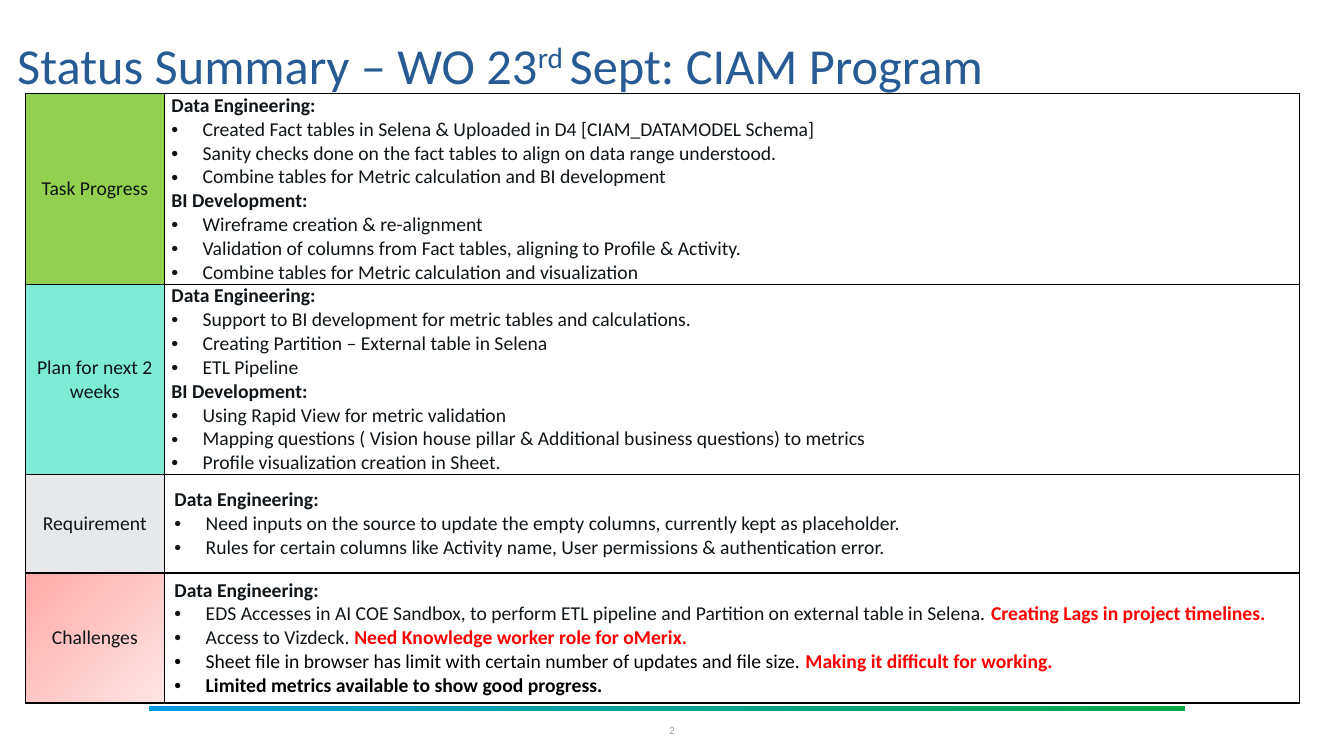
from lxml.etree import SubElement
from pptx import Presentation
from pptx.dml.color import RGBColor
from pptx.enum.shapes import MSO_SHAPE
from pptx.enum.text import MSO_ANCHOR, PP_ALIGN
from pptx.oxml.ns import qn
from pptx.util import Inches, Pt

INK, RED, BLACK = "0F1518", "FF0000", "000000"
ENGINEERING, BI = "Data Engineering:", "BI Development:"

STATUS = [
    ("Task Progress", ["92D050"], 25.2, True, [
        (ENGINEERING, [
            "Created Fact tables in Selena & Uploaded in D4 [CIAM_DATAMODEL Schema]",
            "Sanity checks done on the fact tables to align on data range understood.",
            "Combine tables for Metric calculation and BI development",
        ]),
        (BI, [
            "Wireframe creation & re-alignment",
            "Validation of columns from Fact tables, aligning to Profile & Activity.",
            "Combine tables for Metric calculation and visualization",
        ]),
    ]),
    ("Plan for next 2 weeks", ["7EECD4"], 25.2, True, [
        (ENGINEERING, [
            "Support to BI development for metric tables and calculations.",
            "Creating Partition – External table in Selena",
            "ETL Pipeline",
        ]),
        (BI, [
            "Using Rapid View for metric validation",
            "Mapping questions ( Vision house pillar & Additional business questions) to metrics",
            "Profile visualization creation in Sheet.",
        ]),
    ]),
    ("Requirement", ["E6E8EA"], 13, False, [
        (ENGINEERING, [
            "Need inputs on the source to update the empty columns, currently kept as placeholder.",
            "Rules for certain columns like Activity name, User permissions & authentication error.",
        ]),
    ]),
    ("Challenges", ["FFA9A9", "FFE5E5"], 17.2, False, [
        (ENGINEERING, [
            [("EDS Accesses in AI COE Sandbox, to perform ETL pipeline and Partition "
              "on external table in Selena. ", INK, False),
             ("Creating Lags in project timelines.", RED, True)],
            [("Access to Vizdeck. ", INK, False),
             ("Need Knowledge worker role for oMerix.", RED, True)],
            [("Sheet file in browser has limit with certain number of updates and file size. ",
              BLACK, False),
             ("Making it difficult for working.", RED, True)],
            [("Limited metrics available to show good progress.", BLACK, True)],
        ]),
    ]),
]


def rgb(code):
    return RGBColor.from_string(code)


def write(paragraph, text, size=14, color=INK, bold=False, raised=0):
    run = paragraph.add_run()
    run.text = text
    font = run.font
    font.name, font.size, font.bold = "Calibri", Pt(size), bold
    font.color.rgb = rgb(color)
    if raised:
        run._r.get_or_add_rPr().set("baseline", str(raised * 1000))


def paint(fill, colors, angle=0):
    if len(colors) == 1:
        fill.solid()
        fill.fore_color.rgb = rgb(colors[0])
        return
    fill.gradient()
    fill.gradient_angle = angle
    for stop, color in zip(fill.gradient_stops, colors):
        stop.color.rgb = rgb(color)


class StatusSlide:
    """Draw elements on one slide, with lengths in percent of its size."""

    def __init__(self, deck):
        self.deck = deck
        self.slide = deck.slides.add_slide(deck.slide_layouts[6])

    def across(self, share):
        return round(self.deck.slide_width * share / 100)

    def down(self, share):
        return round(self.deck.slide_height * share / 100)

    def box(self, left, top, width, height):
        return self.across(left), self.down(top), self.across(width), self.down(height)

    def text(self, area, pieces, align=PP_ALIGN.LEFT, spacing=1.0, top_inset=0):
        frame = self.slide.shapes.add_textbox(*self.box(*area)).text_frame
        frame.word_wrap = True
        frame.vertical_anchor = MSO_ANCHOR.MIDDLE
        frame.margin_left = frame.margin_right = frame.margin_bottom = 0
        frame.margin_top = Inches(top_inset)
        line = frame.paragraphs[0]
        line.alignment, line.line_spacing = align, spacing
        for text, style in pieces:
            write(line, text, **style)

    def bar(self, area, colors):
        bar = self.slide.shapes.add_shape(MSO_SHAPE.RECTANGLE, *self.box(*area))
        bar.shadow.inherit = False
        bar.line.fill.background()
        paint(bar.fill, colors)

    def border(self, cell):
        properties = cell._tc.get_or_add_tcPr()
        for side in ("a:lnL", "a:lnR", "a:lnT", "a:lnB"):
            edge = SubElement(properties, qn(side), w=str(Pt(1)))
            SubElement(SubElement(edge, qn("a:solidFill")), qn("a:srgbClr"), val=BLACK)

    def label(self, cell, name, colors):
        self.border(cell)
        paint(cell.fill, colors, angle=315)
        cell.vertical_anchor = MSO_ANCHOR.MIDDLE
        line = cell.text_frame.paragraphs[0]
        line.alignment = PP_ALIGN.CENTER
        write(line, name)

    def bullet(self, paragraph):
        properties = paragraph._p.get_or_add_pPr()
        indent = Inches(0.31)
        properties.set("marL", str(indent))
        properties.set("indent", str(-indent))
        SubElement(properties, qn("a:buFont"), typeface="Arial")
        SubElement(properties, qn("a:buChar"), char="•")

    def details(self, cell, tight, sections):
        self.border(cell)
        cell.fill.background()
        cell.vertical_anchor = MSO_ANCHOR.MIDDLE
        if tight:
            cell.margin_left = cell.margin_right = Inches(0.07)
            cell.margin_top = cell.margin_bottom = 0
        frame = cell.text_frame
        for number, (heading, items) in enumerate(sections):
            line = frame.add_paragraph() if number else frame.paragraphs[0]
            write(line, heading, bold=True)
            for item in items:
                line = frame.add_paragraph()
                self.bullet(line)
                pieces = [(item, INK, False)] if isinstance(item, str) else item
                for text, color, bold in pieces:
                    write(line, text, color=color, bold=bold)

    def table(self, left, top, widths, status):
        heights = [entry[2] for entry in status]
        area = self.box(left, top, sum(widths), sum(heights))
        grid = self.slide.shapes.add_table(len(status), len(widths), *area).table
        grid.first_row = grid.horz_banding = False
        for column, width in zip(grid.columns, widths):
            column.width = self.across(width)
        for row, (name, colors, height, tight, sections) in zip(grid.rows, status):
            row.height = self.down(height)
            self.label(row.cells[0], name, colors)
            self.details(row.cells[1], tight, sections)


def main():
    deck = Presentation()
    deck.slide_width, deck.slide_height = Inches(13.33), Inches(7.5)
    page = StatusSlide(deck)
    heading = {"size": 36, "color": "285A93"}
    page.text((48.6, 95.07, 2.8, 3.07), [("2", {"size": 8, "color": "A6A6A6"})],
              align=PP_ALIGN.CENTER)
    page.bar((11.1, 93.33, 77.04, 0.67), ["009AE0", "00A846"])
    page.text((1.28, 1.33, 94.9, 13.07), [
        ("Status Summary – WO 23", heading),
        ("rd ", {**heading, "raised": 30}),
        ("Sept: CIAM Program", heading),
    ], spacing=0.8, top_inset=0.2)
    page.table(1.88, 12.4, (10.35, 84.47), STATUS)
    deck.save("out.pptx")


if __name__ == "__main__":
    main()
